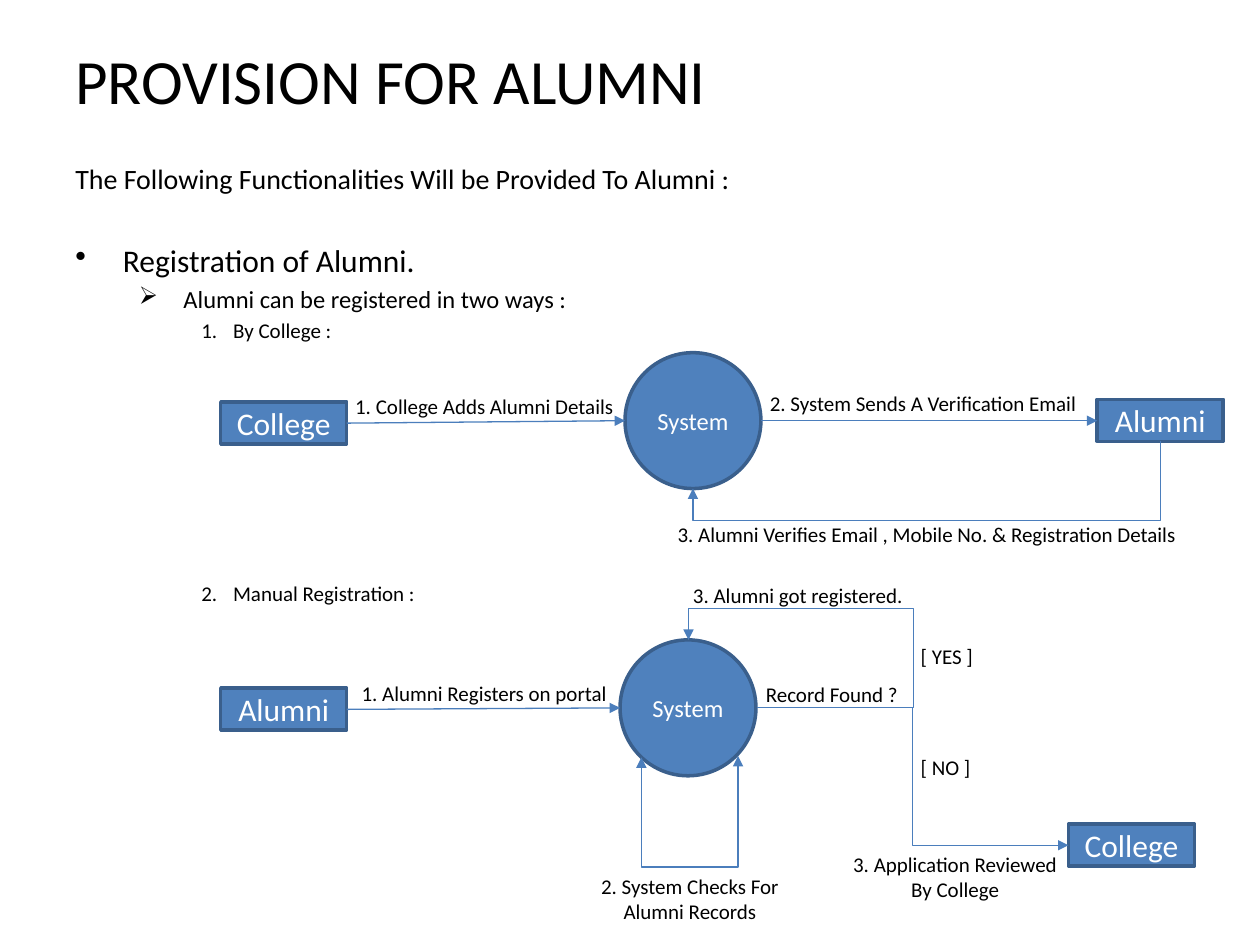
"""Build a slide that shows how alumni are registered, by college or manually."""
from lxml.etree import SubElement
from pptx import Presentation
from pptx.dml.color import RGBColor
from pptx.enum.shapes import MSO_CONNECTOR as Connector, MSO_SHAPE as Shape
from pptx.enum.text import MSO_ANCHOR as Anchor, PP_ALIGN as Align
from pptx.oxml.ns import qn
from pptx.util import Cm, Pt

BLACK = RGBColor(0x00, 0x00, 0x00)
WHITE = RGBColor(0xFF, 0xFF, 0xFF)
BLUE = RGBColor(0x4F, 0x81, 0xBD)
BORDER = RGBColor(0x3A, 0x5F, 0x8C)
ARROW = RGBColor(0x4B, 0x7E, 0xBC)


def write(paragraph, text, size=12, color=BLACK, align=Align.LEFT, before=0,
          level=0, margin=0, hanging=0, bullet=None):
    paragraph.alignment = align
    paragraph.level = level
    paragraph.space_before = Pt(before)
    run = paragraph.add_run()
    run.text = text
    run.font.name = "Calibri"
    run.font.size = Pt(size)
    run.font.color.rgb = color
    if bullet:
        properties = paragraph._p.get_or_add_pPr()
        properties.set("marL", str(Cm(margin)))
        properties.set("indent", str(-Cm(hanging)))
        if bullet == "1.":
            SubElement(properties, qn("a:buAutoNum"), type="arabicPeriod")
        else:
            SubElement(properties, qn("a:buChar"), char=bullet)


class Diagram:
    def __init__(self, slide):
        self.shapes = slide.shapes

    def text(self, left, top, width, height, lines, wrap=False, anchor=Anchor.TOP):
        box = self.shapes.add_textbox(Cm(left), Cm(top), Cm(width), Cm(height))
        frame = box.text_frame
        frame.word_wrap = wrap
        frame.vertical_anchor = anchor
        for index, (text, style) in enumerate(lines):
            paragraph = frame.add_paragraph() if index else frame.paragraphs[0]
            write(paragraph, text, **style)

    def label(self, left, top, width, *lines):
        style = {"align": Align.CENTER if len(lines) > 1 else Align.LEFT}
        height = 0.25 + 0.51 * len(lines)
        self.text(left, top, width, height, [(line, style) for line in lines])

    def node(self, kind, left, top, width, height, text, size):
        shape = self.shapes.add_shape(kind, Cm(left), Cm(top), Cm(width), Cm(height))
        shape.shadow.inherit = False
        shape.fill.solid()
        shape.fill.fore_color.rgb = BLUE
        shape.line.color.rgb = BORDER
        shape.line.width = Pt(2)
        frame = shape.text_frame
        frame.margin_top = frame.margin_bottom = 0
        frame.vertical_anchor = Anchor.MIDDLE
        write(frame.paragraphs[0], text, size, WHITE, Align.CENTER)

    def actor(self, left, top, text):
        self.node(Shape.RECTANGLE, left, top, 2.54, 0.85, text, 18)

    def system(self, left, top):
        self.node(Shape.OVAL, left, top, 2.74, 2.74, "System", 14)

    def style_line(self, shape, ends):
        shape.line.color.rgb = ARROW
        shape.line.width = Pt(0.75)
        outline = shape._element.spPr.find(qn("a:ln"))
        for end in ends:
            SubElement(outline, qn(f"a:{end}"), type="triangle")

    def arrow(self, start, end, kind=Connector.STRAIGHT):
        points = [Cm(value) for value in (*start, *end)]
        connector = self.shapes.add_connector(kind, *points)
        self.style_line(connector, ["tailEnd"])
        SubElement(connector._element.spPr, qn("a:effectLst"))

    def route(self, *points, ends=("tailEnd",)):
        start, *rest = [(Cm(x), Cm(y)) for x, y in points]
        builder = self.shapes.build_freeform(*start)
        builder.add_line_segments(rest, close=False)
        shape = builder.convert_to_shape()
        shape.shadow.inherit = False
        shape.fill.background()
        self.style_line(shape, ends)


def draw_outline(diagram):
    diagram.text(1.27, 0, 22.86, 3.18, [("PROVISION FOR ALUMNI", {"size": 36})],
                 wrap=True, anchor=Anchor.MIDDLE)
    numbered = {"level": 2, "margin": 3.18, "hanging": 0.64, "bullet": "1."}
    diagram.text(1.27, 3.14, 22.86, 15.5, [
        ("The Following Functionalities Will be Provided To Alumni :", {"size": 16}),
        ("Registration of Alumni.",
         {"size": 18, "before": 26, "margin": 0.96, "hanging": 0.96, "bullet": "•"}),
        ("Alumni can be registered in two ways :",
         {"size": 14, "before": 2.8, "level": 1, "margin": 2.18, "hanging": 0.9,
          "bullet": "➢"}),
        ("By College :", {"before": 2.4, **numbered}),
        ("Manual Registration :", {"before": 136, **numbered}),
    ], wrap=True)


def draw_college_registration(diagram):
    diagram.actor(4.45, 8.1, "College")
    diagram.system(12.6, 7.11)
    diagram.actor(22.12, 8.05, "Alumni")
    diagram.arrow((6.99, 8.53), (12.6, 8.48))
    diagram.arrow((15.34, 8.48), (22.12, 8.48))
    diagram.route((23.39, 8.9), (23.39, 10.49), (13.97, 10.49), (13.97, 9.85))
    diagram.label(6.91, 7.8, 5.79, "1. College Adds Alumni Details")
    diagram.label(15.27, 7.75, 6.76, "2. System Sends A Verification Email")
    diagram.label(13.41, 10.39, 10.67,
                  "3. Alumni Verifies Email , Mobile No. & Registration Details")


def draw_manual_registration(diagram):
    diagram.actor(4.45, 13.87, "Alumni")
    diagram.system(12.5, 12.9)
    diagram.actor(21.54, 16.61, "College")
    diagram.arrow((6.99, 14.3), (12.5, 14.27))
    diagram.arrow((15.26, 14.27), (21.54, 17.04), Connector.ELBOW)
    diagram.route((14.88, 15.24), (14.88, 17.48), (12.93, 17.48), (12.93, 15.27),
                  ends=("headEnd", "tailEnd"))
    diagram.route((15.26, 14.27), (18.42, 14.27), (18.42, 12.27), (13.88, 12.27),
                  (13.88, 12.9))
    diagram.label(7.04, 13.59, 5.51, "1. Alumni Registers on portal")
    diagram.label(11.84, 17.48, 4.14, "2. System Checks For", "Alumni Records")
    diagram.label(15.19, 13.61, 3.2, "Record Found ?")
    diagram.label(18.31, 12.85, 1.57, "[ YES ]")
    diagram.label(18.31, 15.09, 1.52, "[ NO ]")
    diagram.label(13.72, 11.61, 4.78, "3. Alumni got registered.")
    diagram.label(16.92, 17.04, 4.67, "3. Application Reviewed", "By College")


def main():
    presentation = Presentation()
    presentation.slide_width = Cm(25.4)
    presentation.slide_height = Cm(19.05)
    slide = presentation.slides.add_slide(presentation.slide_layouts[6])
    diagram = Diagram(slide)
    draw_outline(diagram)
    draw_college_registration(diagram)
    draw_manual_registration(diagram)
    presentation.save("out.pptx")


if __name__ == "__main__":
    main()
